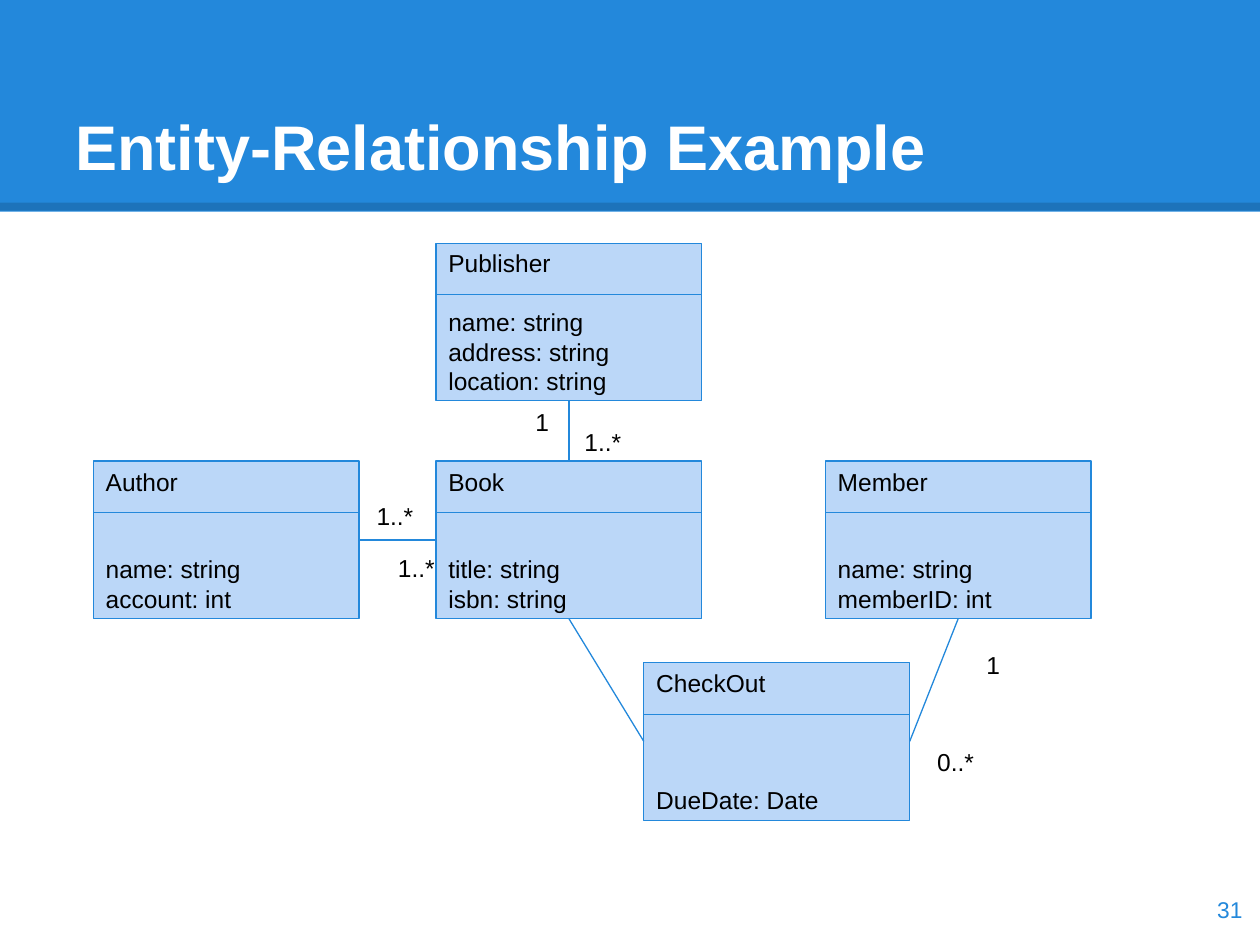
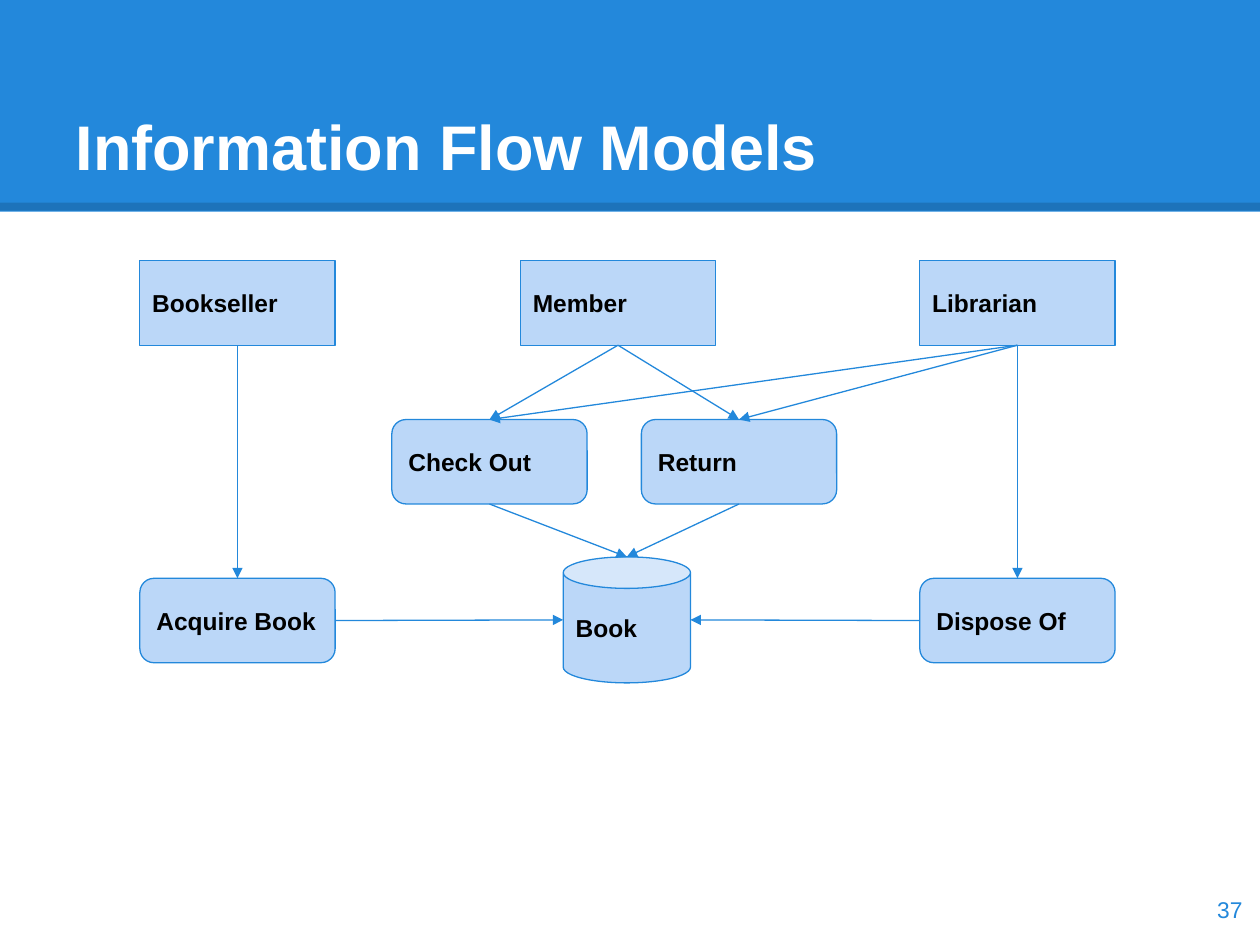
from lxml import etree
from pptx import Presentation
from pptx.dml.color import RGBColor
from pptx.enum.shapes import MSO_CONNECTOR, MSO_SHAPE
from pptx.enum.text import MSO_ANCHOR, MSO_AUTO_SIZE, PP_ALIGN
from pptx.oxml.ns import qn
from pptx.util import Inches, Pt

RECT, ROUND, CAN = MSO_SHAPE.RECTANGLE, MSO_SHAPE.ROUNDED_RECTANGLE, MSO_SHAPE.CAN
STRAIGHT = MSO_CONNECTOR.STRAIGHT
TOP, MIDDLE, BOTTOM = MSO_ANCHOR.TOP, MSO_ANCHOR.MIDDLE, MSO_ANCHOR.BOTTOM
LEFT, RIGHT = PP_ALIGN.LEFT, PP_ALIGN.RIGHT
NO_AUTOFIT = MSO_AUTO_SIZE.NONE

# Connection sites of a box
N, W, S, E = range(4)

FONT = "Arial"
COLORS = {"blue": "2388DB", "box": "BBD7F8", "text": "000000", "white": "FFFFFF"}
LINE_PITCH = 16.7  # points per 14 pt line
ENTITY_W, ENTITY_H, ENTITY_HEAD = 2.11, 1.25, 0.41
NODE_W, NODE_H = 1.55, 0.67


def color(name):
    return RGBColor.from_string(COLORS[name])


def set_text(sp, lines, size=14, ink="text", bold=False, align=LEFT, anchor=MIDDLE):
    tf = sp.text_frame
    tf.text = "\n".join(lines)
    tf.word_wrap = True
    tf.auto_size = NO_AUTOFIT
    tf.vertical_anchor = anchor
    tf.margin_left = tf.margin_right = tf.margin_top = tf.margin_bottom = Inches(0.1)
    for p in tf.paragraphs:
        p.alignment = align
        p.font.name, p.font.size, p.font.bold = FONT, Pt(size), bold
        p.font.color.rgb = color(ink)
    return tf


def add_box(s, kind, x, y, w, h, lines, bold=False):
    sp = s.shapes.add_shape(kind, Inches(x), Inches(y), Inches(w), Inches(h))
    sp.shadow.inherit = False
    sp.fill.solid()
    sp.fill.fore_color.rgb = color("box")
    sp.line.color.rgb = color("blue")
    sp.line.width = Pt(0.75)
    set_text(sp, lines, bold=bold)
    return sp


def add_label(s, x, y, w, h, text, **style):
    sp = s.shapes.add_textbox(Inches(x), Inches(y), Inches(w), Inches(h))
    set_text(sp, [text], **style)


def add_line(s, x1, y1, x2, y2, ink="blue", width=0.75):
    cx = s.shapes.add_connector(STRAIGHT, x1, y1, x2, y2)
    cx.line.color.rgb = color(ink)
    cx.line.width = Pt(width)
    etree.SubElement(cx._element.spPr, qn("a:effectLst"))
    return cx


def site(sp, side):
    mid_x, mid_y = sp.left + sp.width // 2, sp.top + sp.height // 2
    return {N: (mid_x, sp.top), W: (sp.left, mid_y),
            S: (mid_x, sp.top + sp.height), E: (sp.left + sp.width, mid_y)}[side]


def link(s, start, start_side, end, end_side, arrow=False):
    cx = add_line(s, *site(start, start_side), *site(end, end_side))
    cx.begin_connect(start, start_side)
    if end.auto_shape_type != CAN:  # a can numbers its sites differently
        cx.end_connect(end, end_side)
    if arrow:
        ln = cx.line._get_or_add_ln()
        etree.SubElement(ln, qn("a:tailEnd"), type="triangle")


def add_base(prs, title, number):
    s = prs.slides.add_slide(prs.slide_layouts[5])
    # Header band with a darker lower edge
    band = s.shapes.add_shape(RECT, 0, 0, prs.slide_width, Inches(1.68))
    band.shadow.inherit = False
    band.fill.solid()
    band.fill.fore_color.rgb = color("blue")
    band.line.fill.background()
    edge = add_line(s, 0, Inches(1.64), prs.slide_width, Inches(1.64), "text", 4.5)
    clr = edge._element.spPr.find(".//" + qn("a:srgbClr"))
    etree.SubElement(clr, qn("a:alpha"), val="15000")
    # Title in front of the band
    t = s.shapes.title
    t.left, t.top, t.width, t.height = Inches(0.5), Inches(0.3), Inches(9), Inches(1.25)
    set_text(t, [title], 36, "white", True, anchor=BOTTOM)
    edge._element.addnext(t._element)
    # Slide number
    add_label(s, 9.36, 6.93, 0.6, 0.57, str(number), size=13, ink="blue", align=RIGHT)
    return s


def add_entity(s, x, y, name, *attributes):
    sp = add_box(s, RECT, x, y, ENTITY_W, ENTITY_H, [name, *attributes])
    first = sp.text_frame.paragraphs[1]
    first.space_before = Pt(LINE_PITCH * (4 - len(attributes)))
    head_y = Inches(y + ENTITY_HEAD)
    add_line(s, sp.left, head_y, sp.left + sp.width, head_y)
    return sp


def add_node(s, kind, x, y, text):
    sp = add_box(s, kind, x, y, NODE_W, NODE_H, [text], bold=True)
    if kind == ROUND:
        sp.adjustments[0] = 0.167
    return sp


def entity_slide(prs):
    s = add_base(prs, "Entity-Relationship Example", 31)
    # Entities
    row_y = 3.66
    publisher = add_entity(s, 3.46, 1.93, "Publisher", "name: string",
                           "address: string", "location: string")
    author = add_entity(s, 0.74, row_y, "Author", "name: string", "account: int")
    book = add_entity(s, 3.46, row_y, "Book", "title: string", "isbn: string")
    member = add_entity(s, 6.55, row_y, "Member", "name: string", "memberID: int")
    checkout = add_entity(s, 5.11, 5.26, "CheckOut", "DueDate: Date")
    # Relationships
    link(s, publisher, S, book, N)
    link(s, author, E, book, W)
    link(s, book, S, checkout, W)
    link(s, member, S, checkout, E)
    # Multiplicities
    for x, y, text in [(7.73, 5.06, "1"), (7.34, 5.83, "0..*"), (3.06, 4.29, "1..*"),
                       (2.89, 3.88, "1..*"), (4.54, 3.29, "1..*"), (4.15, 3.13, "1")]:
        add_label(s, x, y, 0.53, 0.37, text, anchor=TOP)


def flow_slide(prs):
    s = add_base(prs, "Information Flow Models", 37)
    # Actors, actions and the data store
    left_x, right_x = 1.11, 7.3
    actor_y, loan_y, stock_y = 2.07, 3.33, 4.59
    bookseller = add_node(s, RECT, left_x, actor_y, "Bookseller")
    member = add_node(s, RECT, 4.13, actor_y, "Member")
    librarian = add_node(s, RECT, right_x, actor_y, "Librarian")
    acquire = add_node(s, ROUND, left_x, stock_y, "Acquire Book")
    check_out = add_node(s, ROUND, 3.11, loan_y, "Check Out")
    give_back = add_node(s, ROUND, 5.09, loan_y, "Return")
    dispose = add_node(s, ROUND, right_x, stock_y, "Dispose Of")
    book = add_box(s, CAN, 4.47, 4.42, 1.01, 1, ["Book"], bold=True)
    # Flows
    for start, start_side, end, end_side in [
        (bookseller, S, acquire, N),
        (acquire, E, book, W),
        (member, S, check_out, N),
        (check_out, S, book, N),
        (member, S, give_back, N),
        (give_back, S, book, N),
        (librarian, S, check_out, N),
        (librarian, S, give_back, N),
        (librarian, S, dispose, N),
        (dispose, W, book, E),
    ]:
        link(s, start, start_side, end, end_side, arrow=True)


def main():
    prs = Presentation()
    prs.slide_width, prs.slide_height = Inches(10), Inches(7.5)
    entity_slide(prs)
    flow_slide(prs)
    prs.save("out.pptx")


if __name__ == "__main__":
    main()
